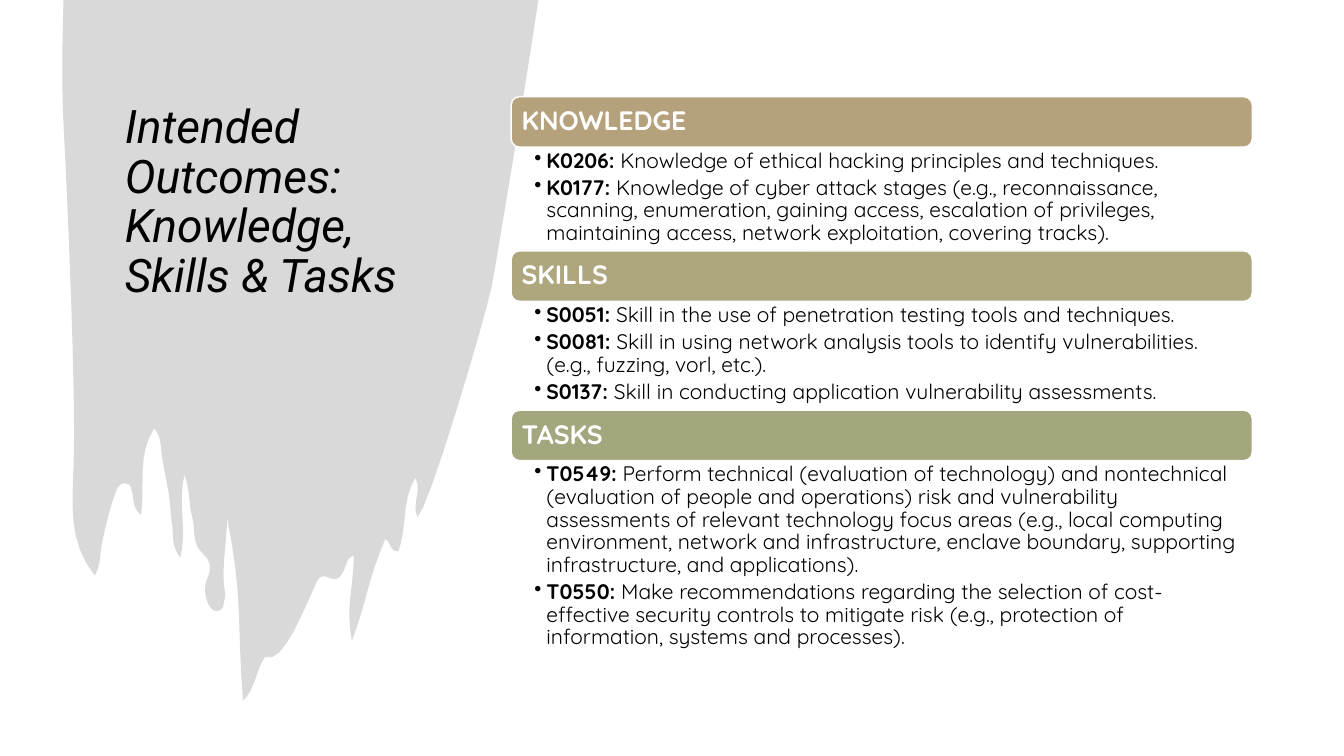
from lxml import etree
from pptx import Presentation
from pptx.dml.color import RGBColor
from pptx.enum.shapes import MSO_SHAPE
from pptx.enum.text import MSO_ANCHOR, PP_ALIGN
from pptx.oxml.ns import qn
from pptx.util import Inches, Pt

ROUNDED = MSO_SHAPE.ROUNDED_RECTANGLE
MIDDLE, TOP = MSO_ANCHOR.MIDDLE, MSO_ANCHOR.TOP
LEFT = PP_ALIGN.LEFT

TITLE = "Intended Outcomes: Knowledge, Skills & Tasks"
SECTIONS = [
    ("KNOWLEDGE", "B5A17C", 1.03, [
        ("K0206:", "Knowledge of ethical hacking principles and techniques."),
        ("K0177:", "Knowledge of cyber attack stages (e.g., reconnaissance, scanning, "
                   "enumeration, gaining access, escalation of privileges, maintaining "
                   "access, network exploitation, covering tracks)."),
    ]),
    ("SKILLS", "AEA67D", 1.08, [
        ("S0051:", "Skill in the use of penetration testing tools and techniques."),
        ("S0081:", "Skill in using network analysis tools to identify vulnerabilities. "
                   "(e.g., fuzzing, vorl, etc.)."),
        ("S0137:", "Skill in conducting application vulnerability assessments."),
    ]),
    ("TASKS", "A4A67E", 1.98, [
        ("T0549:", "Perform technical (evaluation of technology) and nontechnical "
                   "(evaluation of people and operations) risk and vulnerability "
                   "assessments of relevant technology focus areas (e.g., local computing "
                   "environment, network and infrastructure, enclave boundary, supporting "
                   "infrastructure, and applications)."),
        ("T0550:", "Make recommendations regarding the selection of cost-effective "
                   "security controls to mitigate risk (e.g., protection of information, "
                   "systems and processes)."),
    ]),
]

PAINT_START = (5.34, 0)
PAINT_CURVES = [
    (5.22, 0.81, 4.98, 2.26, 4.88, 2.83), (4.81, 3.17, 4.24, 5.09, 4.14, 5.13),
    (4.08, 5, 4.19, 4.87, 4.12, 4.74), (3.98, 4.97, 4.04, 5.25, 3.95, 5.47),
    (3.86, 5.47, 3.88, 5.37, 3.82, 5.35), (3.64, 5.78, 3.65, 5.93, 3.49, 6.36),
    (3.43, 5.97, 3.5, 5.91, 3.51, 5.51), (3.43, 5.54, 3.44, 5.61, 3.41, 5.66),
    (3.38, 5.72, 3.35, 5.77, 3.26, 5.73), (3.17, 5.69, 3.15, 5.75, 3.12, 5.82),
    (3.03, 6.01, 2.81, 6.6, 2.63, 6.52), (2.55, 6.61, 2.53, 6.85, 2.41, 6.95),
    (2.35, 6.16, 2.41, 5.9, 2.25, 5.13), (2.26, 5.37, 2.19, 5.61, 2.23, 5.86),
    (2.24, 5.9, 2.23, 5.94, 2.22, 5.98), (2.22, 6.02, 2.2, 6.06, 2.15, 6.06),
    (2.11, 6.06, 2.09, 6.03, 2.07, 6), (2.03, 5.91, 2.02, 5.82, 2.06, 5.73),
    (2.1, 5.64, 2.09, 5.56, 2.01, 5.49), (1.9, 5.39, 1.94, 5.25, 1.91, 5.14),
    (1.87, 5.01, 1.89, 4.87, 1.83, 4.71), (1.76, 4.99, 1.86, 5.25, 1.79, 5.53),
    (1.7, 5.42, 1.72, 5.31, 1.71, 5.22), (1.69, 5.1, 1.69, 4.98, 1.67, 4.87),
    (1.65, 4.77, 1.63, 4.66, 1.61, 4.55), (1.59, 4.45, 1.61, 4.34, 1.53, 4.25),
    (1.36, 4.51, 1.44, 4.81, 1.4, 5.11), (1.31, 5.03, 1.33, 4.95, 1.31, 4.88),
    (1.3, 4.84, 1.3, 4.81, 1.26, 4.8), (1.21, 4.78, 1.18, 4.82, 1.16, 4.85),
    (1.09, 5.03, 1.05, 5.21, 1.01, 5.4), (0.99, 5.5, 1, 5.61, 0.94, 5.71),
    (0.67, 5.37, 0.72, 4.99, 0.73, 4.61), (0.76, 4, 0.66, 1.74, 0.63, 1.23),
    (0.61, 0.82, 0.62, 0.41, 0.63, 0),
]
CURVE_STEPS = 8

COLUMN_LEFT, COLUMN_TOP, COLUMN_WIDTH = 5.07, 0.96, 7.35
HEADER_HEIGHT = 0.5
BULLET_INDENT = 0.12


def color(hex_value):
    return RGBColor.from_string(hex_value)


def curve_points(start, curve):
    points = [start, curve[0:2], curve[2:4], curve[4:6]]
    for step in range(1, CURVE_STEPS + 1):
        t = step / CURVE_STEPS
        weights = ((1 - t) ** 3, 3 * t * (1 - t) ** 2, 3 * t * t * (1 - t), t ** 3)
        yield tuple(Inches(sum(w * p[axis] for w, p in zip(weights, points)))
                    for axis in (0, 1))


def add_paint(page):
    outline, start = [], PAINT_START
    for curve in PAINT_CURVES:
        outline.extend(curve_points(start, curve))
        start = curve[4:6]
    builder = page.shapes.build_freeform(*(Inches(v) for v in PAINT_START))
    builder.add_line_segments(outline, close=True)
    paint = builder.convert_to_shape()
    paint.shadow.inherit = False
    paint.fill.solid()
    paint.fill.fore_color.rgb = color("D9D9D9")
    paint.line.fill.background()


def set_frame(box, anchor, left, top, right, bottom):
    frame = box.text_frame
    frame.word_wrap = True
    frame.vertical_anchor = anchor
    frame.margin_left, frame.margin_top = Inches(left), Inches(top)
    frame.margin_right, frame.margin_bottom = Inches(right), Inches(bottom)
    return frame


def style(para, font, size, font_color):
    para.alignment = LEFT
    para.line_spacing = 0.9
    para.font.name = font
    para.font.size = Pt(size)
    para.font.color.rgb = color(font_color)


def add_title(page):
    box = page.shapes.add_textbox(Inches(1.14), Inches(0.6), Inches(3.53), Inches(2.83))
    para = set_frame(box, MIDDLE, 0.1, 0.05, 0.1, 0.05).paragraphs[0]
    para.text = TITLE
    style(para, "Roboto", 33, "000000")
    para.font.italic = True


def add_header(page, top, name, fill):
    box = page.shapes.add_shape(ROUNDED, Inches(COLUMN_LEFT), Inches(top),
                                Inches(COLUMN_WIDTH), Inches(HEADER_HEIGHT))
    box.shadow.inherit = False
    box.fill.solid()
    box.fill.fore_color.rgb = color(fill)
    box.line.color.rgb = color("FFFFFF")
    box.line.width = Pt(1)
    para = set_frame(box, MIDDLE, 0.08, 0.08, 0.08, 0.08).paragraphs[0]
    para.text = name
    style(para, "Quicksand", 19, "FFFFFF")
    para.font.bold = True


def add_bullet(para):
    properties = para._p.get_or_add_pPr()
    properties.set("marL", str(Inches(BULLET_INDENT)))
    properties.set("indent", str(-Inches(BULLET_INDENT)))
    bullet = etree.Element(qn("a:buChar"), char="•")
    properties.find(qn("a:defRPr")).addprevious(bullet)


def add_items(page, top, height, items):
    box = page.shapes.add_textbox(Inches(COLUMN_LEFT), Inches(top),
                                  Inches(COLUMN_WIDTH), Inches(height))
    frame = set_frame(box, TOP, 0.23, 0.03, 0.15, 0.03)
    for index, (code, description) in enumerate(items):
        para = frame.add_paragraph() if index else frame.paragraphs[0]
        style(para, "Quicksand", 15, "000000")
        para.space_after = Pt(3)
        add_bullet(para)
        span = para.add_run()
        span.text = code
        span.font.bold = True
        para.add_run().text = " " + description


def main():
    deck = Presentation()
    deck.slide_width, deck.slide_height = Inches(13.33), Inches(7.5)
    page = deck.slides.add_slide(deck.slide_layouts[6])
    add_paint(page)
    add_title(page)
    top = COLUMN_TOP
    for name, fill, height, items in SECTIONS:
        add_header(page, top, name, fill)
        add_items(page, top + HEADER_HEIGHT, height, items)
        top += HEADER_HEIGHT + height
    deck.save("out.pptx")


if __name__ == "__main__":
    main()
